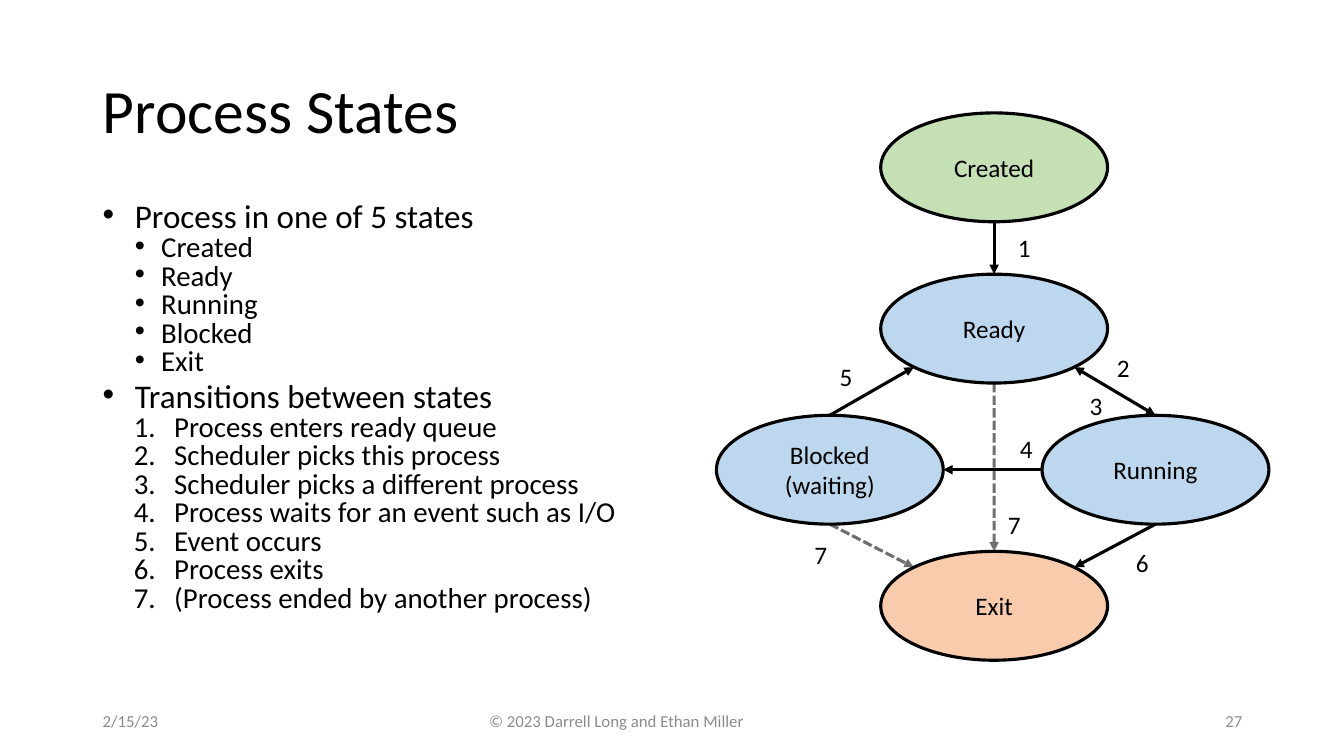
import math

from lxml import etree
from pptx import Presentation
from pptx import util as u
from pptx.dml.color import RGBColor
from pptx.enum import dml, shapes, text
from pptx.oxml.ns import qn

PX = 9144  # EMU per px, 100 px to the inch
FONT = "Calibri"
COLORS = {"ink": "000000", "muted": "8C8C8C", "active": "BDD7EE",
          "created": "C5E0B4", "exit": "F8CBAD"}

TITLE = "Process States"
OUTLINE = [
    ("Process in one of 5 states", "bullet",
     ["Created", "Ready", "Running", "Blocked", "Exit"]),
    ("Transitions between states", "number",
     ["Process enters ready queue", "Scheduler picks this process",
      "Scheduler picks a different process",
      "Process waits for an event such as I/O", "Event occurs",
      "Process exits", "(Process ended by another process)"]),
]
# kind: marker tag, its attributes, left margin, hanging indent, size, space before
LEVELS = {
    "head": ("a:buChar", {"char": "•"}, 32, 32, 23.6, 7),
    "bullet": ("a:buChar", {"char": "•"}, 58, 26, 20.6, 3),
    "number": ("a:buAutoNum", {"type": "arabicPeriod"}, 71, 40, 20.6, 3),
}
FOOTER = [("2/15/23", 92, 190, "LEFT"),
          ("© 2023 Darrell Long and Ethan Miller", 331, 561, "CENTER"),
          ("27", 942, 300, "RIGHT")]

STATE_W, STATE_H = 225, 108
STATES = {  # name: label, centre, fill
    "created": ("Created", (986, 166), "created"),
    "ready": ("Ready", (986, 326), "active"),
    "blocked": ("Blocked (waiting)", (823, 466), "active"),
    "running": ("Running", (1146, 466), "active"),
    "exit": ("Exit", (986, 601), "exit"),
}
# from state and angle, to state and angle (clockwise from the right), style
TRANSITIONS = [
    ("created", 90, "ready", 270, "plain"),
    ("ready", 45, "running", 270, "both ways"),
    ("running", 180, "blocked", 0, "plain"),
    ("blocked", 270, "ready", 135, "plain"),
    ("running", 90, "exit", 315, "plain"),
    ("ready", 90, "exit", 270, "dashed"),
    ("blocked", 90, "exit", 225, "dashed"),
]
LABEL_W, LABEL_H = 60, 40
LABELS = [("1", 986, 226), ("2", 1084, 345), ("3", 1057, 382),
          ("4", 988, 425), ("5", 809, 354), ("6", 1103, 538),
          ("7", 976, 500), ("7", 784, 530)]

prs = Presentation()
prs.slide_width, prs.slide_height = 1333 * PX, 750 * PX
slide = prs.slides.add_slide(prs.slide_layouts[5])


def rgb(name):
    return RGBColor.from_string(COLORS[name])


def write(paragraph, words, size=18, color="ink", align="LEFT", spacing=None):
    paragraph.alignment = getattr(text.PP_ALIGN, align)
    paragraph.line_spacing = spacing
    run = paragraph.add_run()
    run.text = words
    run.font.size = u.Pt(size)
    run.font.name = FONT
    run.font.color.rgb = rgb(color)


def text_box(left, top, width, height, anchor="TOP"):
    box = slide.shapes.add_textbox(*(v * PX for v in (left, top, width, height)))
    frame = box.text_frame
    frame.word_wrap = True
    frame.vertical_anchor = getattr(text.MSO_ANCHOR, anchor)
    return frame


def outline_item(paragraph, words, kind, first=False):
    tag, attributes, margin, hang, size, before = LEVELS[kind]
    props = paragraph._p.get_or_add_pPr()
    props.set("marL", str(margin * PX))
    props.set("indent", str(-hang * PX))
    if kind != "head":
        paragraph.level = 1
    if kind != "number":
        etree.SubElement(props, qn("a:buFont"), typeface="Arial")
    etree.SubElement(props, qn(tag), attributes)
    if not first:
        paragraph.space_before = u.Pt(before)
    write(paragraph, words, size, spacing=0.7)


def rim(state, degrees):
    """Point on a state's ellipse, in EMU."""
    x, y = STATES[state][1]
    angle = math.radians(degrees)
    return (round((x + STATE_W / 2 * math.cos(angle)) * PX),
            round((y + STATE_H / 2 * math.sin(angle)) * PX))


def add_state(label, centre, fill):
    x, y = centre
    oval = slide.shapes.add_shape(
        shapes.MSO_SHAPE.OVAL, round((x - STATE_W / 2) * PX),
        round((y - STATE_H / 2) * PX), STATE_W * PX, STATE_H * PX)
    oval.shadow.inherit = False
    oval.fill.solid()
    oval.fill.fore_color.rgb = rgb(fill)
    oval.line.color.rgb = rgb("ink")
    oval.line.width = u.Pt(2.25)
    oval.text_frame.word_wrap = True
    oval.text_frame.vertical_anchor = text.MSO_ANCHOR.MIDDLE
    write(oval.text_frame.paragraphs[0], label, align="CENTER")


def add_transition(start, start_angle, end, end_angle, style):
    arrow = slide.shapes.add_connector(
        shapes.MSO_CONNECTOR.STRAIGHT, *rim(start, start_angle), *rim(end, end_angle))
    arrow.line.color.rgb = rgb("ink")
    arrow.line.width = u.Pt(2.25)
    line = arrow.line._get_or_add_ln()
    if style == "dashed":
        arrow.line.dash_style = dml.MSO_LINE.SQUARE_DOT
        line.find(qn("a:prstDash")).set("val", "sysDash")
        etree.SubElement(line.find(".//" + qn("a:srgbClr")), qn("a:alpha"), val="56000")
    if style == "both ways":
        etree.SubElement(line, qn("a:headEnd"), type="triangle")
    etree.SubElement(line, qn("a:tailEnd"), type="triangle")
    etree.SubElement(arrow._element.spPr, qn("a:effectLst"))


title = slide.shapes.title
title.left, title.top, title.width, title.height = (
    v * PX for v in (92, 40, 1150, 145))
title.text_frame.vertical_anchor = text.MSO_ANCHOR.MIDDLE
title.text_frame.auto_size = text.MSO_AUTO_SIZE.NONE
write(title.text_frame.paragraphs[0], TITLE, 44, spacing=0.9)

outline = text_box(92, 200, 567, 476)
items = [item for head, kind, points in OUTLINE
         for item in [(head, "head")] + [(point, kind) for point in points]]
for i, (words, kind) in enumerate(items):
    paragraph = outline.add_paragraph() if i else outline.paragraphs[0]
    outline_item(paragraph, words, kind, first=i == 0)

for state in STATES.values():
    add_state(*state)
for transition in TRANSITIONS:
    add_transition(*transition)
for number, left, top in LABELS:
    write(text_box(left, top, LABEL_W, LABEL_H).paragraphs[0], number, align="CENTER")

for words, left, width, align in FOOTER:
    frame = text_box(left, 695, width, 40, "MIDDLE")
    write(frame.paragraphs[0], words, 12, "muted", align)

prs.save("out.pptx")
